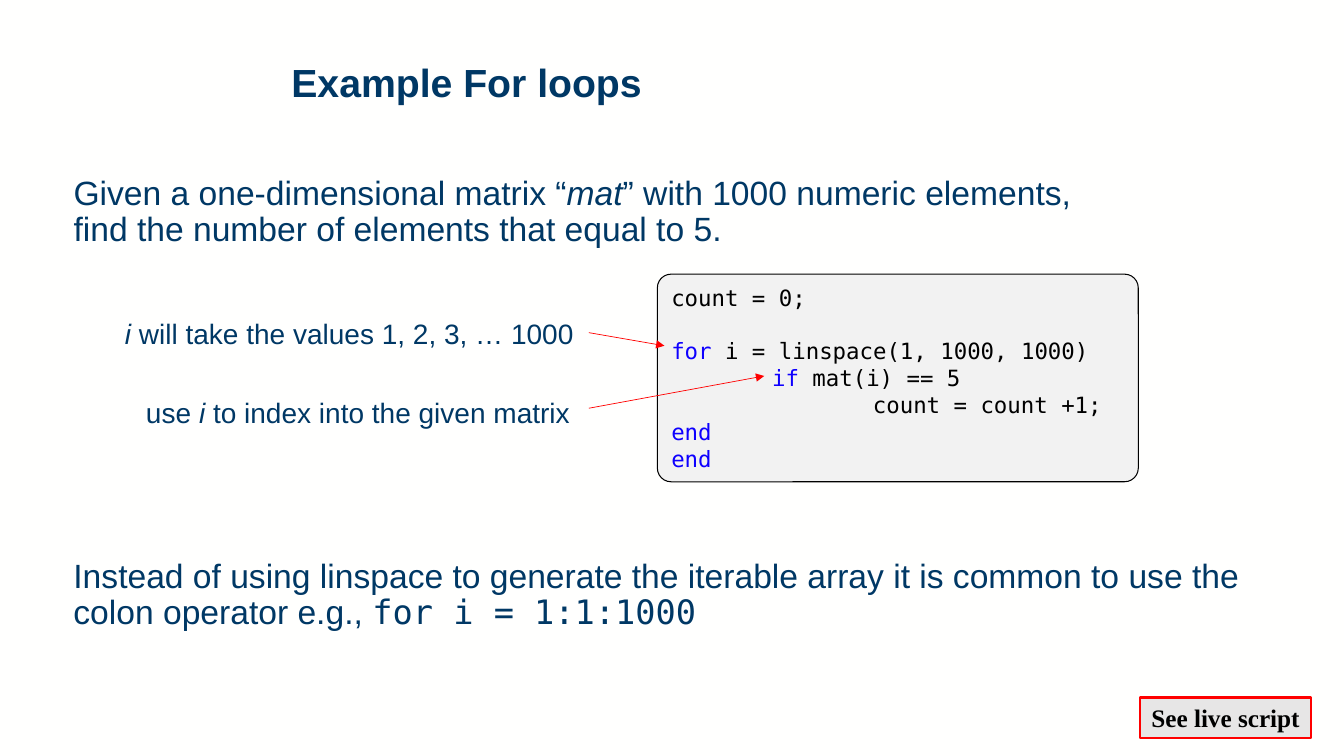
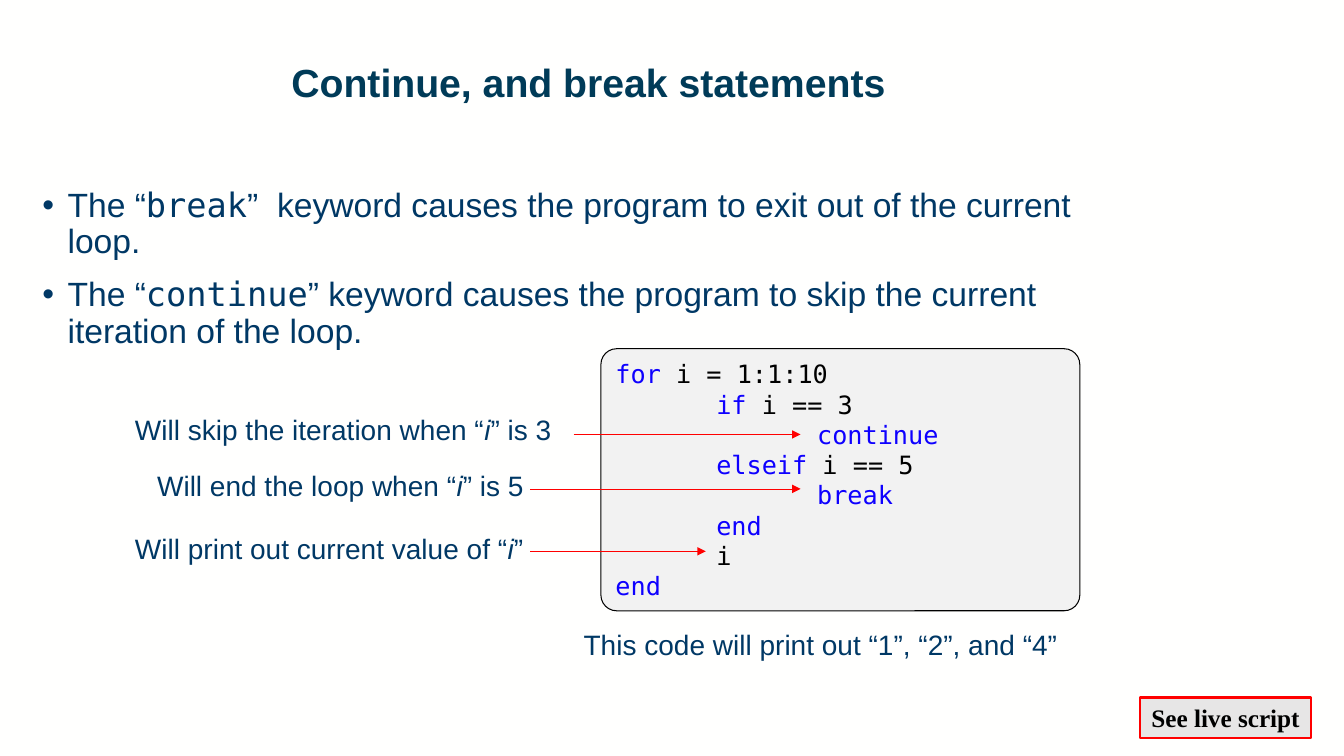
import dataclasses
import typing

import lxml.etree
import pptx
import pptx.dml.color
import pptx.enum.shapes
import pptx.enum.text
import pptx.oxml.ns
import pptx.util

Inches = pptx.util.Inches
Pt = pptx.util.Pt
qn = pptx.oxml.ns.qn

# Shared palette and text formats
BACKGROUND, NAVY, TEAL, BLACK = "FFFFFE", "003865", "003B58", "000000"
KEYWORD_BLUE, RED, CODE_GREY, BADGE_GREY = "0E00FF", "FF0000", "F2F2F2", "E7E6E6"
CODE_FONT = "DejaVu Sans Mono"

TITLE = {"name": "Arial", "size": Pt(28), "bold": True}
BODY = {"name": "Arial", "size": Pt(24), "color": NAVY}
NOTE = {"name": "Arial", "size": Pt(20), "color": NAVY}
CODE = {"name": CODE_FONT, "color": BLACK}
BADGE = {"name": "Times New Roman", "size": Pt(18), "bold": True, "color": BLACK}

TAB_STOPS = (1, 2)


@dataclasses.dataclass(frozen=True)
class Span:
    text: str
    changes: dict = dataclasses.field(default_factory=dict)


def italic(text: str) -> Span:
    return Span(text, {"italic": True})


def mono(text: str) -> Span:
    return Span(text, {"name": CODE_FONT})


def keyword(text: str) -> Span:
    return Span(text, {"color": KEYWORD_BLUE})


Line = list[Span]


class Box(typing.NamedTuple):
    left: float
    top: float
    width: float
    height: float


@dataclasses.dataclass(frozen=True)
class Passage:
    box: Box
    lines: list[Line]
    bulleted: bool = False


@dataclasses.dataclass(frozen=True)
class CodePanel:
    box: Box
    corner: float
    size: int
    lines: list[Line]
    gap_before: dict[int, int] = dataclasses.field(default_factory=dict)


class Arrow(typing.NamedTuple):
    x1: float
    y1: float
    x2: float
    y2: float


@dataclasses.dataclass(frozen=True)
class Lesson:
    title: str
    title_color: str
    body: Passage
    code: CodePanel
    arrows: list[Arrow]
    notes: list[Passage]
    closing: list[Passage] = dataclasses.field(default_factory=list)


TITLE_BOX = Box(2.79, 0.58, 10.07, 0.97)
BADGE_BOX = Box(11.31, 6.92, 1.69, 0.4)

LESSONS = [
    Lesson(
        "Example For loops", NAVY,
        Passage(Box(0.63, 1.7, 10.33, 1), [[
            Span("Given a one-dimensional matrix “"), italic("mat"),
            Span("” with 1000 numeric elements, find the number of elements that equal to 5."),
        ]]),
        CodePanel(Box(6.52, 2.72, 4.77, 2.06), 0.066, 16, [
            [Span("count = 0;")],
            [keyword("for "), Span("i = linspace(1, 1000, 1000)")],
            [keyword("\tif"), Span(" mat(i) == 5")],
            [Span("\t\tcount = count +1;")],
            [keyword("end")],
            [keyword("end")],
        ], {1: 19}),
        [Arrow(5.84, 3.3, 6.59, 3.43), Arrow(5.84, 4.05, 7.58, 3.73)],
        [
            Passage(Box(1.14, 3.09, 4.83, 0.44),
                    [[italic("i"), Span(" will take the values 1, 2, 3, … 1000")]]),
            Passage(Box(1.35, 3.87, 4.83, 0.44),
                    [[Span("use "), italic("i "), Span("to index into the given matrix")]]),
        ],
        [Passage(Box(0.63, 5.5, 12.15, 1), [[
            Span("Instead of using linspace to generate the iterable array it is common "
                 "to use the colon operator e.g., "),
            mono("for i = 1:1:1000"),
        ]])],
    ),
    Lesson(
        "Continue, and break statements", TEAL,
        Passage(Box(0.32, 1.82, 10.99, 1.7), [
            [Span("The “"), mono("break"),
             Span("”  keyword causes the program to exit out of the current loop.")],
            [Span("The “"), mono("continue"),
             Span("” keyword causes the program to skip the current iteration of the loop.")],
        ], bulleted=True),
        CodePanel(Box(5.96, 3.46, 4.75, 2.6), 0.06, 18, [
            [keyword("for "), Span("i = 1:1:10")],
            [keyword("\tif"), Span(" i == 3")],
            [keyword("\t\tcontinue")],
            [keyword("\telseif "), Span("i == 5")],
            [keyword("\t\tbreak")],
            [keyword("\tend")],
            [Span("\ti")],
            [keyword("end")],
        ]),
        [Arrow(5.69, 4.31, 7.94, 4.31), Arrow(5.26, 4.85, 7.94, 4.85),
         Arrow(5.26, 5.47, 7, 5.47)],
        [
            Passage(Box(1.24, 4.04, 4.58, 0.44),
                    [[Span("Will skip the iteration when “"), italic("i"), Span("” is 3")]]),
            Passage(Box(1.46, 4.6, 3.97, 0.44),
                    [[Span("Will end the loop when “"), italic("i"), Span("” is 5")]]),
            Passage(Box(1.24, 5.22, 4.75, 0.44),
                    [[Span("Will print out current value of “"), italic("i"), Span("”")]]),
            Passage(Box(5.69, 6.18, 5.88, 0.44),
                    [[Span("This code will print out “1”, “2”, and “4”")]]),
        ],
    ),
]


def rgb(value: str) -> pptx.dml.color.RGBColor:
    return pptx.dml.color.RGBColor.from_string(value)


def inches(box: Box) -> list[int]:
    return [Inches(length) for length in box]


def place(shape, box: Box) -> None:
    for side, length in box._asdict().items():
        setattr(shape, side, Inches(length))


def format_font(font, values: dict) -> None:
    for key, value in values.items():
        if key == "color":
            font.color.rgb = rgb(value)
        else:
            setattr(font, key, value)


def set_bullet(paragraph, bulleted: bool) -> None:
    properties = paragraph._p.get_or_add_pPr()
    indent = Inches(0.25) if bulleted else 0
    properties.set("marL", str(indent))
    properties.set("indent", str(-indent))
    if bulleted:
        lxml.etree.SubElement(properties, qn("a:buFont"), typeface="Arial")
        lxml.etree.SubElement(properties, qn("a:buChar"), char="•")
    else:
        lxml.etree.SubElement(properties, qn("a:buNone"))


def set_tabs(paragraph) -> None:
    tabs = lxml.etree.SubElement(paragraph._p.get_or_add_pPr(), qn("a:tabLst"))
    for stop in TAB_STOPS:
        lxml.etree.SubElement(tabs, qn("a:tab"), pos=str(Inches(stop)), algn="l")


def write(frame, lines: list[Line], values: dict, spacing: float = 1, gap: int = 0,
          centred: bool = False, middle: bool = False, wrap: bool = True) -> list:
    anchors, aligns = pptx.enum.text.MSO_ANCHOR, pptx.enum.text.PP_ALIGN
    frame.word_wrap = wrap
    frame.auto_size = pptx.enum.text.MSO_AUTO_SIZE.NONE
    frame.vertical_anchor = anchors.MIDDLE if middle else anchors.TOP
    paragraphs = []
    for index, line in enumerate(lines):
        paragraph = frame.add_paragraph() if index else frame.paragraphs[0]
        paragraph.alignment = aligns.CENTER if centred else aligns.LEFT
        paragraph.line_spacing = spacing
        paragraph.space_before = Pt(gap if index else 0)
        for span in line:
            run = paragraph.add_run()
            run.text = span.text
            format_font(run.font, values | span.changes)
        paragraphs.append(paragraph)
    return paragraphs


def add_panel(slide, preset, box: Box, fill: str, line: str, weight: float):
    panel = slide.shapes.add_shape(preset, *inches(box))
    panel.shadow.inherit = False
    panel.fill.solid()
    panel.fill.fore_color.rgb = rgb(fill)
    panel.line.color.rgb = rgb(line)
    panel.line.width = Pt(weight)
    return panel


def add_code(slide, code: CodePanel) -> None:
    panel = add_panel(slide, pptx.enum.shapes.MSO_SHAPE.ROUNDED_RECTANGLE,
                      code.box, CODE_GREY, BLACK, 0.75)
    panel.adjustments[0] = code.corner
    paragraphs = write(panel.text_frame, code.lines, CODE | {"size": Pt(code.size)}, middle=True)
    for index, paragraph in enumerate(paragraphs):
        set_tabs(paragraph)
        paragraph.space_before = Pt(code.gap_before.get(index, 0))


def add_arrow(slide, arrow: Arrow) -> None:
    connector = slide.shapes.add_connector(
        pptx.enum.shapes.MSO_CONNECTOR.STRAIGHT, *(Inches(end) for end in arrow))
    connector.line.color.rgb = rgb(RED)
    connector.line.width = Pt(0.5)
    lxml.etree.SubElement(connector.line._get_or_add_ln(), qn("a:tailEnd"), type="triangle")
    lxml.etree.SubElement(connector._element.spPr, qn("a:effectLst"))


def add_text(slide, passage: Passage, values: dict, spacing: float = 1) -> None:
    textbox = slide.shapes.add_textbox(*inches(passage.box))
    write(textbox.text_frame, passage.lines, values, spacing)


def add_badge(slide) -> None:
    badge = add_panel(slide, pptx.enum.shapes.MSO_SHAPE.RECTANGLE,
                      BADGE_BOX, BADGE_GREY, RED, 1.5)
    write(badge.text_frame, [[Span("See live script")]], BADGE,
          centred=True, middle=True, wrap=False)


def add_lesson(deck, lesson: Lesson) -> None:
    slide = deck.slides.add_slide(deck.slide_layouts[1])

    # Title and body placeholders
    title, body = slide.shapes.title, slide.placeholders[1]
    place(title, TITLE_BOX)
    write(title.text_frame, [[Span(lesson.title)]], TITLE | {"color": lesson.title_color}, 0.9)
    place(body, lesson.body.box)
    for paragraph in write(body.text_frame, lesson.body.lines, BODY, 0.9, gap=12):
        set_bullet(paragraph, lesson.body.bulleted)

    # Code with its explanations
    add_code(slide, lesson.code)
    for note in lesson.notes:
        add_text(slide, note, NOTE)
    for arrow in lesson.arrows:
        add_arrow(slide, arrow)

    # Closing remark and badge
    for remark in lesson.closing:
        add_text(slide, remark, BODY, 0.9)
    add_badge(slide)


def main() -> None:
    deck = pptx.Presentation()
    deck.slide_width, deck.slide_height = Inches(13.33), Inches(7.5)
    backdrop = deck.slide_master.background.fill
    backdrop.solid()
    backdrop.fore_color.rgb = rgb(BACKGROUND)
    for lesson in LESSONS:
        add_lesson(deck, lesson)
    deck.save("out.pptx")


if __name__ == "__main__":
    main()
